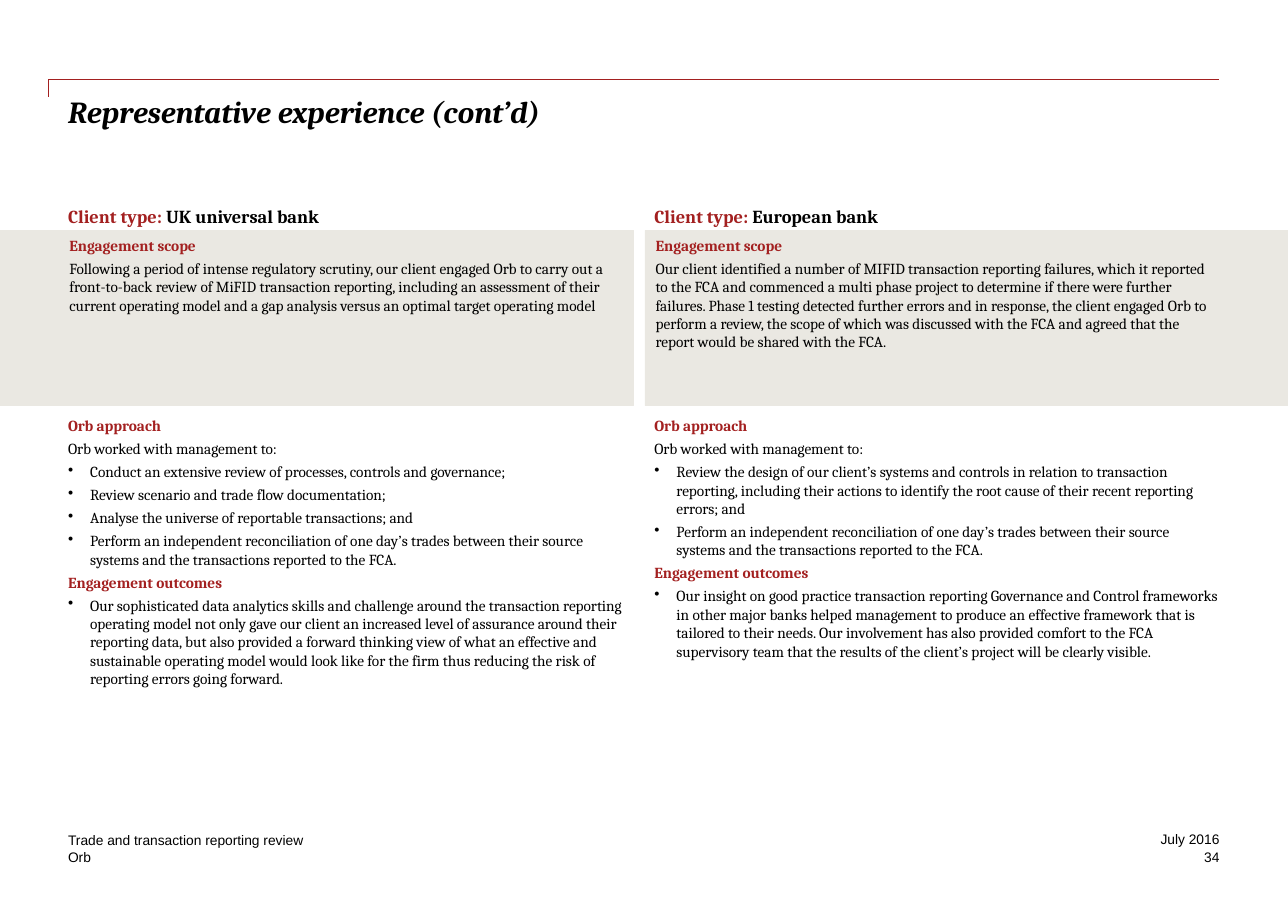
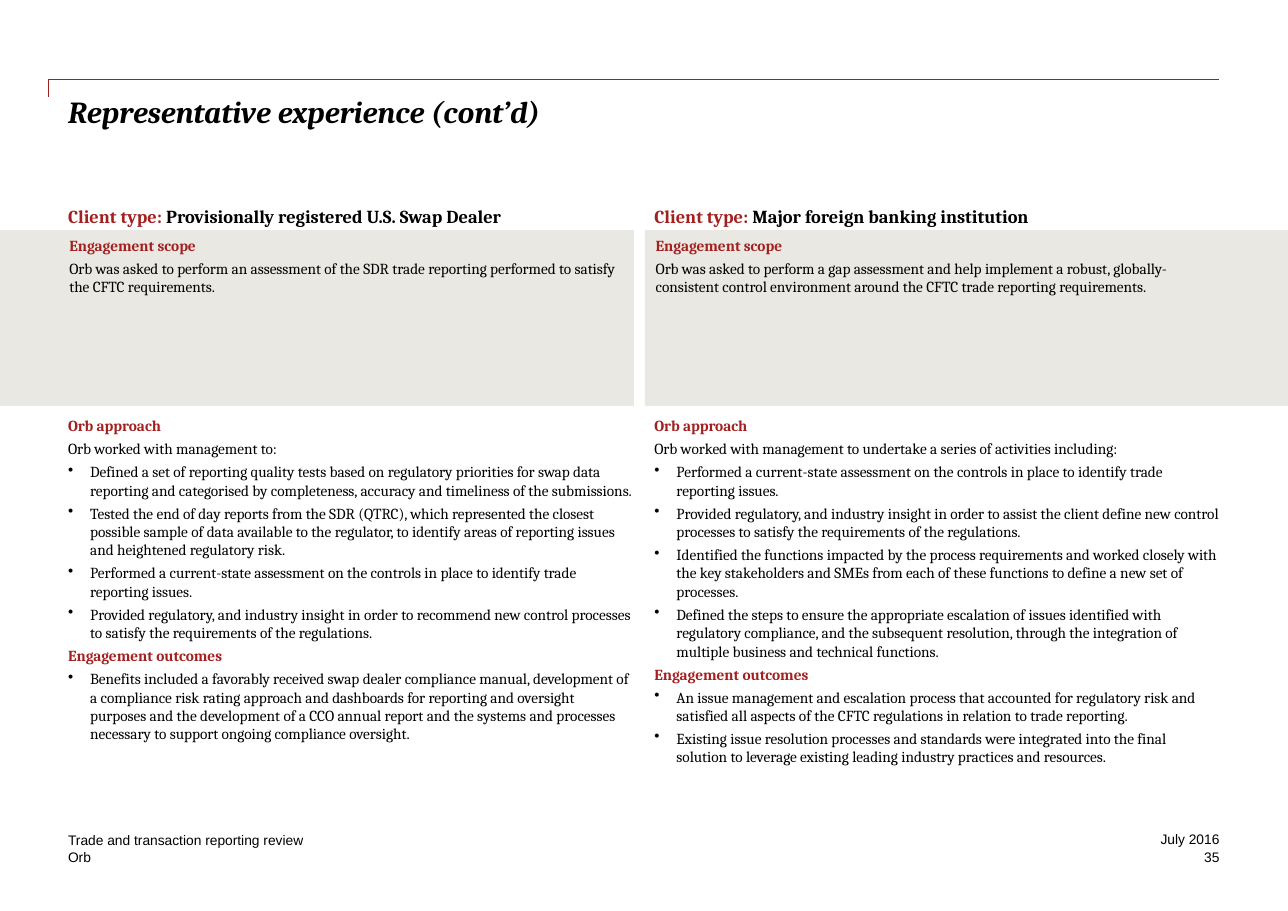
import dataclasses

import lxml.etree
import pptx
import pptx.dml.color
import pptx.enum.shapes
import pptx.enum.text
import pptx.oxml.ns
import pptx.util

Cm = pptx.util.Cm
Pt = pptx.util.Pt
qn = pptx.oxml.ns.qn
ALIGN = pptx.enum.text.PP_ALIGN
ANCHOR = pptx.enum.text.MSO_ANCHOR

# Shared look, lengths in cm
RED, BLACK, STONE = "A32020", "000000", "EAE8E2"
SERIF, SANS = "Cambria", "Arial"
PAGE_W, PAGE_H = 29.7, 21.0
MARGIN = 1.57
RIGHT_EDGE = 28.12
COLUMN_W = 13.03
COLUMN_LEFTS = (MARGIN, RIGHT_EDGE - COLUMN_W)
HEADING_Y, PANEL_Y, APPROACH_Y = 4.72, 5.31, 9.6
PANEL_H = 4.04
# Left and width of each panel, then its left and right insets
PANELS = ((0, 14.6, 1.6, 0.25), (14.87, 14.83, 0.25, 1.6))
BULLET_INDENT = 0.51
FIRM = "Orb"


@dataclasses.dataclass
class Client:
    kind: str
    scope: str
    intro: str
    activities: list
    outcomes: list
    height: float


UK_BANK = Client(
    "UK universal bank",
    "Following a period of intense regulatory scrutiny, our client engaged "
    f"{FIRM} to carry out a front-to-back review of MiFID transaction reporting, "
    "including an assessment of their current operating model and a gap analysis "
    "versus an optimal target operating model",
    f"{FIRM} worked with management to:",
    ["Conduct an extensive review of processes, controls and governance;",
     "Review scenario and trade flow documentation;",
     "Analyse the universe of reportable transactions; and",
     "Perform an independent reconciliation of one day’s trades between their "
     "source systems and the transactions reported to the FCA."],
    ["Our sophisticated data analytics skills and challenge around the transaction "
     "reporting operating model not only gave our client an increased level of "
     "assurance around their reporting data, but also provided a forward thinking "
     "view of what an effective and sustainable operating model would look like for "
     "the firm thus reducing the risk of reporting errors going forward."],
    6.3)

EUROPEAN_BANK = Client(
    "European bank",
    "Our client identified a number of MIFID transaction reporting failures, which "
    "it reported to the FCA and commenced a multi phase project to determine if "
    "there were further failures. Phase 1 testing detected further errors and in "
    f"response, the client engaged {FIRM} to perform a review, the scope of which "
    "was discussed with the FCA and agreed that the report would be shared with "
    "the FCA.",
    f"{FIRM} worked with management to:",
    ["Review the design of our client’s systems and controls in relation to "
     "transaction reporting, including their actions to identify the root cause of "
     "their recent reporting errors; and",
     "Perform an independent reconciliation of one day’s trades between their "
     "source systems and the transactions reported to the FCA."],
    ["Our insight on good practice transaction reporting Governance and Control "
     "frameworks in other major banks helped management to produce an effective "
     "framework that is tailored to their needs. Our involvement has also provided "
     "comfort to the FCA supervisory team that the results of the client’s project "
     "will be clearly visible."],
    6.1)

SWAP_DEALER = Client(
    "Provisionally registered U.S. Swap Dealer",
    f"{FIRM} was asked to perform an assessment of the SDR trade reporting "
    "performed to satisfy the CFTC requirements.",
    f"{FIRM} worked with management to:",
    ["Defined a set of reporting quality tests based on regulatory priorities for "
     "swap data reporting and categorised by completeness, accuracy and timeliness "
     "of the submissions.",
     "Tested the end of day reports from the SDR (QTRC), which represented the "
     "closest possible sample of data available to the regulator, to identify areas "
     "of reporting issues and heightened regulatory risk.",
     "Performed a current-state assessment on the controls in place to identify "
     "trade reporting issues.",
     "Provided regulatory, and industry insight in order to recommend new control "
     "processes to satisfy the requirements of the regulations."],
    ["Benefits included a favorably received swap dealer compliance manual, "
     "development of a compliance risk rating approach and dashboards for reporting "
     "and oversight purposes and the development of a CCO annual report and the "
     "systems and processes necessary to support ongoing compliance oversight."],
    8.03)

FOREIGN_BANK = Client(
    "Major foreign banking institution",
    f"{FIRM} was asked to perform a gap assessment and help implement a robust, "
    "globally-consistent control environment around the CFTC trade reporting "
    "requirements.",
    f"{FIRM} worked with management to undertake a series of activities including:",
    ["Performed a current-state assessment on the controls in place to identify "
     "trade reporting issues.",
     "Provided regulatory, and industry insight in order to assist the client "
     "define new control processes to satisfy the requirements of the regulations.",
     "Identified the functions impacted by the process requirements and worked "
     "closely with the key stakeholders and SMEs from each of these functions to "
     "define a new set of processes.",
     "Defined the steps to ensure the appropriate escalation of issues identified "
     "with regulatory compliance, and the subsequent resolution, through the "
     "integration of multiple business and technical functions."],
    ["An issue management and escalation process that accounted for regulatory risk "
     "and satisfied all aspects of the CFTC regulations in relation to trade "
     "reporting.",
     "Existing issue resolution processes and standards were integrated into the "
     "final solution to leverage existing leading industry practices and resources."],
    8.13)


def rgb(hex_colour):
    return pptx.dml.color.RGBColor.from_string(hex_colour)


def style_run(run, size, colour=BLACK, bold=False, italic=False, font=SERIF):
    run.font.name = font
    run.font.size = Pt(size)
    run.font.bold = bold
    run.font.italic = italic
    run.font.color.rgb = rgb(colour)


def set_frame(frame, insets=(0, 0, 0, 0), anchor=ANCHOR.TOP):
    frame.word_wrap = True
    frame.vertical_anchor = anchor
    (frame.margin_left, frame.margin_top,
     frame.margin_right, frame.margin_bottom) = map(Cm, insets)


def add_text_box(slide, left, top, width, height, anchor=ANCHOR.TOP):
    frame = slide.shapes.add_textbox(
        Cm(left), Cm(top), Cm(width), Cm(height)).text_frame
    set_frame(frame, anchor=anchor)
    return frame


def add_bullet(paragraph):
    properties = paragraph._p.get_or_add_pPr()
    properties.set("marL", str(Cm(BULLET_INDENT)))
    properties.set("indent", str(-Cm(BULLET_INDENT)))
    lxml.etree.SubElement(properties, qn("a:buChar")).set("char", "•")


def write_paragraphs(frame, items):
    """Write (style, text) pairs; style is heading, body or bullet."""
    for number, (style, text) in enumerate(items):
        paragraph = frame.add_paragraph() if number else frame.paragraphs[0]
        paragraph.text = text
        if style == "bullet":
            add_bullet(paragraph)
        paragraph.alignment = ALIGN.LEFT
        paragraph.space_after = Pt(3)
        heading = style == "heading"
        style_run(paragraph.runs[0], 10, RED if heading else BLACK, bold=heading)


def add_corner_rule(slide):
    rule = slide.shapes.add_connector(
        pptx.enum.shapes.MSO_CONNECTOR.ELBOW,
        Cm(1.12), Cm(2.23), Cm(RIGHT_EDGE), Cm(1.83))
    rule.line.color.rgb = rgb(RED)
    rule.line.width = Pt(1)
    properties = rule._element.spPr
    # The bend sits at the start, so the rule drops at its left end
    bend = lxml.etree.SubElement(properties.find(".//" + qn("a:avLst")), qn("a:gd"))
    bend.set("name", "adj1")
    bend.set("fmla", "val 0")
    lxml.etree.SubElement(properties, qn("a:effectLst"))


def add_title(slide, text):
    title = slide.shapes.title
    title.left, title.top = Cm(MARGIN), Cm(2.13)
    title.width, title.height = Cm(RIGHT_EDGE - MARGIN), Cm(2.2)
    title.text_frame.text = text
    set_frame(title.text_frame)
    title.text_frame.auto_size = pptx.enum.text.MSO_AUTO_SIZE.NONE
    paragraph = title.text_frame.paragraphs[0]
    paragraph.alignment = ALIGN.LEFT
    style_run(paragraph.runs[0], 20, bold=True, italic=True)


def add_footer(slide, page_number):
    line_h, upper, lower = 0.41, 19.15, 19.56
    date_w = 4.95
    date_left = RIGHT_EDGE - date_w
    for text, left, top, width, align, anchor in (
            ("Trade and transaction reporting review", MARGIN, upper, 9.88,
             ALIGN.LEFT, ANCHOR.BOTTOM),
            (FIRM, MARGIN, lower, 8.56, ALIGN.LEFT, ANCHOR.MIDDLE),
            ("July 2016", date_left, upper, date_w, ALIGN.RIGHT, ANCHOR.TOP),
            (str(page_number), date_left, lower, date_w, ALIGN.RIGHT, ANCHOR.TOP)):
        frame = add_text_box(slide, left, top, width, line_h, anchor)
        frame.text = text
        frame.paragraphs[0].alignment = align
        style_run(frame.paragraphs[0].runs[0], 9, font=SANS)


def add_scope_panel(slide, panel, scope):
    left, width, inset_left, inset_right = panel
    shape = slide.shapes.add_shape(
        pptx.enum.shapes.MSO_SHAPE.RECTANGLE,
        Cm(left), Cm(PANEL_Y), Cm(width), Cm(PANEL_H))
    shape.shadow.inherit = False
    shape.fill.solid()
    shape.fill.fore_color.rgb = rgb(STONE)
    shape.line.color.rgb = rgb(STONE)
    shape.line.width = Pt(0.25)
    set_frame(shape.text_frame, (inset_left, 0.13, inset_right, 0.13))
    write_paragraphs(shape.text_frame,
                     [("heading", "Engagement scope"), ("body", scope)])


def add_client_column(slide, left, panel, client):
    # Client type
    heading = add_text_box(slide, left, HEADING_Y, COLUMN_W, 0.51)
    heading.auto_size = pptx.enum.text.MSO_AUTO_SIZE.SHAPE_TO_FIT_TEXT
    heading.paragraphs[0].space_after = Pt(3)
    for text, colour in (("Client type: ", RED), (client.kind, BLACK)):
        run = heading.paragraphs[0].add_run()
        run.text = text
        style_run(run, 12, colour, bold=True)

    add_scope_panel(slide, panel, client.scope)

    # Approach and outcomes
    approach = add_text_box(slide, left, APPROACH_Y, COLUMN_W, client.height)
    approach.auto_size = pptx.enum.text.MSO_AUTO_SIZE.SHAPE_TO_FIT_TEXT
    write_paragraphs(approach, [
        ("heading", f"{FIRM} approach"),
        ("body", client.intro),
        *(("bullet", activity) for activity in client.activities),
        ("heading", "Engagement outcomes"),
        *(("bullet", outcome) for outcome in client.outcomes)])


def add_experience_slide(deck, page_number, clients):
    slide = deck.slides.add_slide(deck.slide_layouts.get_by_name("Title Only"))
    add_corner_rule(slide)
    add_title(slide, "Representative experience (cont’d)")
    add_footer(slide, page_number)
    for left, panel, client in zip(COLUMN_LEFTS, PANELS, clients):
        add_client_column(slide, left, panel, client)


def main():
    deck = pptx.Presentation()
    deck.slide_width, deck.slide_height = Cm(PAGE_W), Cm(PAGE_H)
    add_experience_slide(deck, 34, (UK_BANK, EUROPEAN_BANK))
    add_experience_slide(deck, 35, (SWAP_DEALER, FOREIGN_BANK))
    deck.save("out.pptx")


if __name__ == "__main__":
    main()
